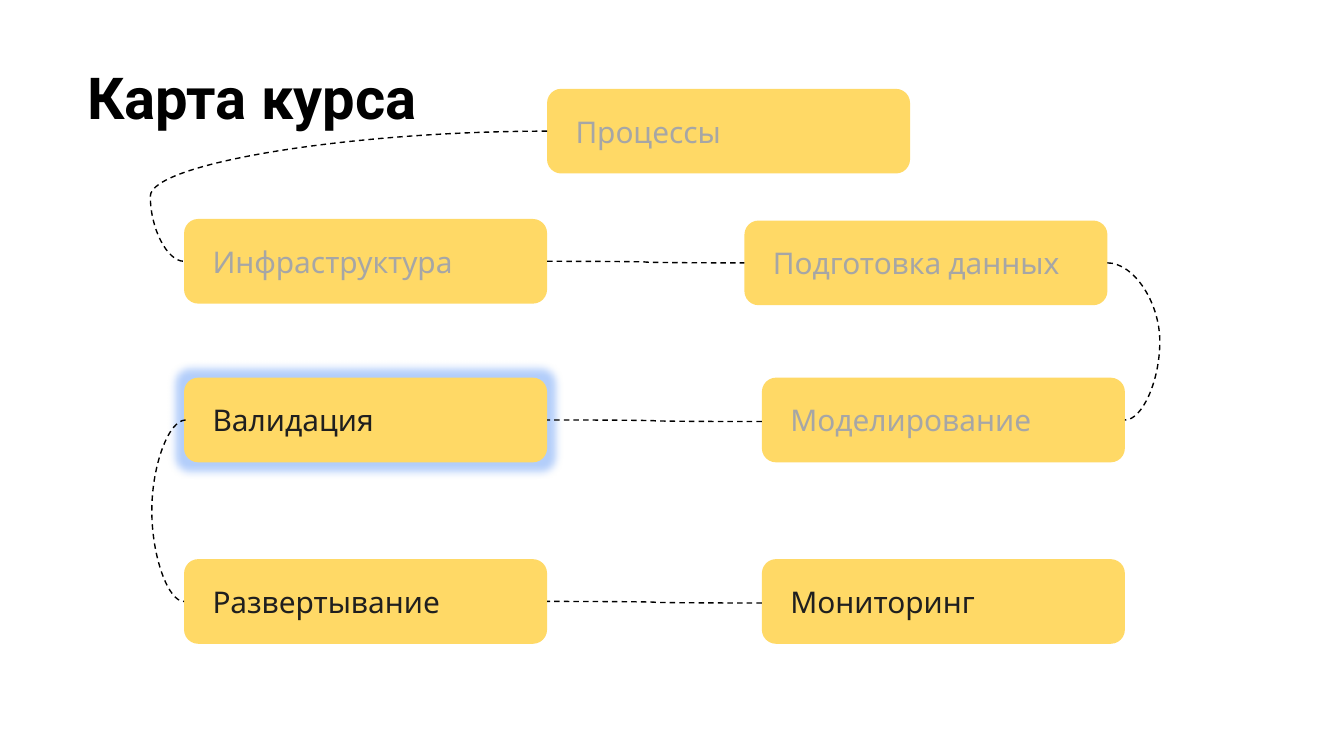
from dataclasses import dataclass
from typing import Optional

from lxml import etree
from pptx import Presentation
from pptx.dml.color import RGBColor
from pptx.enum.dml import MSO_LINE
from pptx.enum.shapes import MSO_CONNECTOR, MSO_SHAPE
from pptx.enum.text import MSO_ANCHOR, PP_ALIGN
from pptx.oxml.ns import qn
from pptx.util import Cm, Pt

ROUNDED = MSO_SHAPE.ROUNDED_RECTANGLE
CURVE = MSO_CONNECTOR.CURVE
DASH = MSO_LINE.DASH
MIDDLE = MSO_ANCHOR.MIDDLE
LEFT = PP_ALIGN.LEFT

COLORS = {
    "title": "000000",
    "card": "FFD966",
    "passed": "A6A6A6",
    "ahead": "1F1F1F",
    "link": "000000",
    "glow": "4285F4",
}
CARD_WIDTH = 6.86
CARD_HEIGHT = 1.6
LEFT_COLUMN = 3.48
RIGHT_COLUMN = 14.4


@dataclass(frozen=True)
class Stage:
    label: str
    left: float
    top: float
    color: str = "passed"
    current: bool = False

    @property
    def right(self) -> float:
        return self.left + CARD_WIDTH

    @property
    def middle(self) -> float:
        return self.top + CARD_HEIGHT / 2


@dataclass(frozen=True)
class Link:
    start_x: float
    start_y: float
    end_x: float
    end_y: float
    bend_x: Optional[float] = None


def color(name: str) -> RGBColor:
    return RGBColor.from_string(COLORS[name])


def style_text(frame, text: str, font_name: str, size: float, color_name: str, bold: bool = False) -> None:
    frame.text = text
    frame.word_wrap = True
    paragraph = frame.paragraphs[0]
    paragraph.alignment = LEFT
    font = paragraph.runs[0].font
    font.name = font_name
    font.size = Pt(size)
    font.bold = bold
    font.color.rgb = color(color_name)


def add_glow(card) -> None:
    effects = card._element.spPr.find(qn("a:effectLst"))
    glow = etree.SubElement(effects, qn("a:glow"), rad=str(Pt(9)))
    tint = etree.SubElement(glow, qn("a:srgbClr"), val=COLORS["glow"])
    etree.SubElement(tint, qn("a:alpha"), val="40000")


def draw_title(slide) -> None:
    title = slide.shapes.add_textbox(Cm(1.4), Cm(0.91), Cm(23.67), Cm(3.05))
    frame = title.text_frame
    frame.margin_left = frame.margin_right = frame.margin_top = frame.margin_bottom = Cm(0.25)
    style_text(frame, "Карта курса", "Roboto", 31, "title", bold=True)


def draw_stage(slide, stage: Stage) -> None:
    card = slide.shapes.add_shape(
        ROUNDED, Cm(stage.left), Cm(stage.top), Cm(CARD_WIDTH), Cm(CARD_HEIGHT)
    )
    card.shadow.inherit = False
    card.fill.solid()
    card.fill.fore_color.rgb = color("card")
    card.line.fill.background()
    if stage.current:
        add_glow(card)
    frame = card.text_frame
    frame.vertical_anchor = MIDDLE
    frame.margin_left = frame.margin_right = Cm(0.46)
    frame.margin_top = frame.margin_bottom = Cm(0.25)
    style_text(frame, stage.label, "Karla", 16, stage.color)


def draw_link(slide, link: Link) -> None:
    connector = slide.shapes.add_connector(
        CURVE, Cm(link.start_x), Cm(link.start_y), Cm(link.end_x), Cm(link.end_y)
    )
    connector.line.color.rgb = color("link")
    connector.line.width = Pt(0.75)
    connector.line.dash_style = DASH
    properties = connector._element.spPr
    etree.SubElement(properties, qn("a:effectLst"))
    if link.bend_x is not None:
        share = (link.bend_x - link.start_x) / (link.end_x - link.start_x)
        guides = properties.find(qn("a:prstGeom")).find(qn("a:avLst"))
        etree.SubElement(guides, qn("a:gd"), name="adj1", fmla=f"val {round(share * 100000)}")


def main() -> None:
    presentation = Presentation()
    presentation.slide_width = Cm(25.4)
    presentation.slide_height = Cm(14.29)
    slide = presentation.slides.add_slide(presentation.slide_layouts[6])

    processes = Stage("Процессы", 10.34, 1.68)
    infrastructure = Stage("Инфраструктура", LEFT_COLUMN, 4.14)
    preparation = Stage("Подготовка данных", 14.07, 4.17)
    validation = Stage("Валидация", LEFT_COLUMN, 7.14, "ahead", current=True)
    modelling = Stage("Моделирование", RIGHT_COLUMN, 7.14)
    deployment = Stage("Развертывание", LEFT_COLUMN, 10.57, "ahead")
    monitoring = Stage("Мониторинг", RIGHT_COLUMN, 10.57, "ahead")
    stages = [processes, infrastructure, preparation, validation, modelling, deployment, monitoring]

    nudge = 0.03
    links = [
        Link(processes.left, processes.middle, infrastructure.left, infrastructure.middle, 2.84),
        Link(infrastructure.right, infrastructure.middle, preparation.left, preparation.middle),
        Link(preparation.right, preparation.middle, modelling.right, modelling.middle, 21.92),
        Link(modelling.left, modelling.middle + nudge, validation.right, validation.middle),
        Link(validation.left + nudge, validation.middle, deployment.left, deployment.middle, 2.87),
        Link(monitoring.left, monitoring.middle + nudge, deployment.right, deployment.middle),
    ]

    draw_title(slide)
    for stage in stages:
        draw_stage(slide, stage)
    for link in links:
        draw_link(slide, link)
    presentation.save("out.pptx")


if __name__ == "__main__":
    main()
